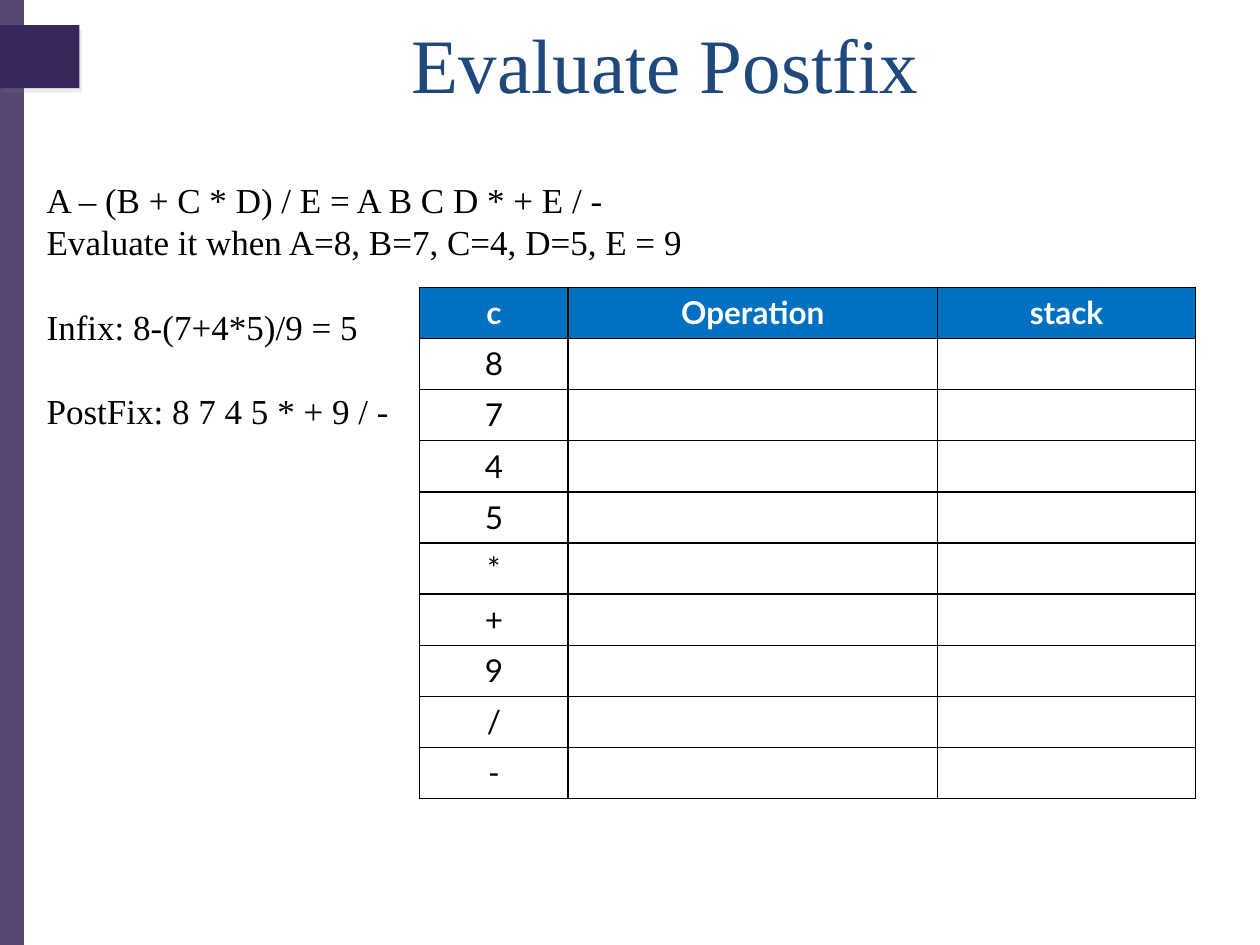
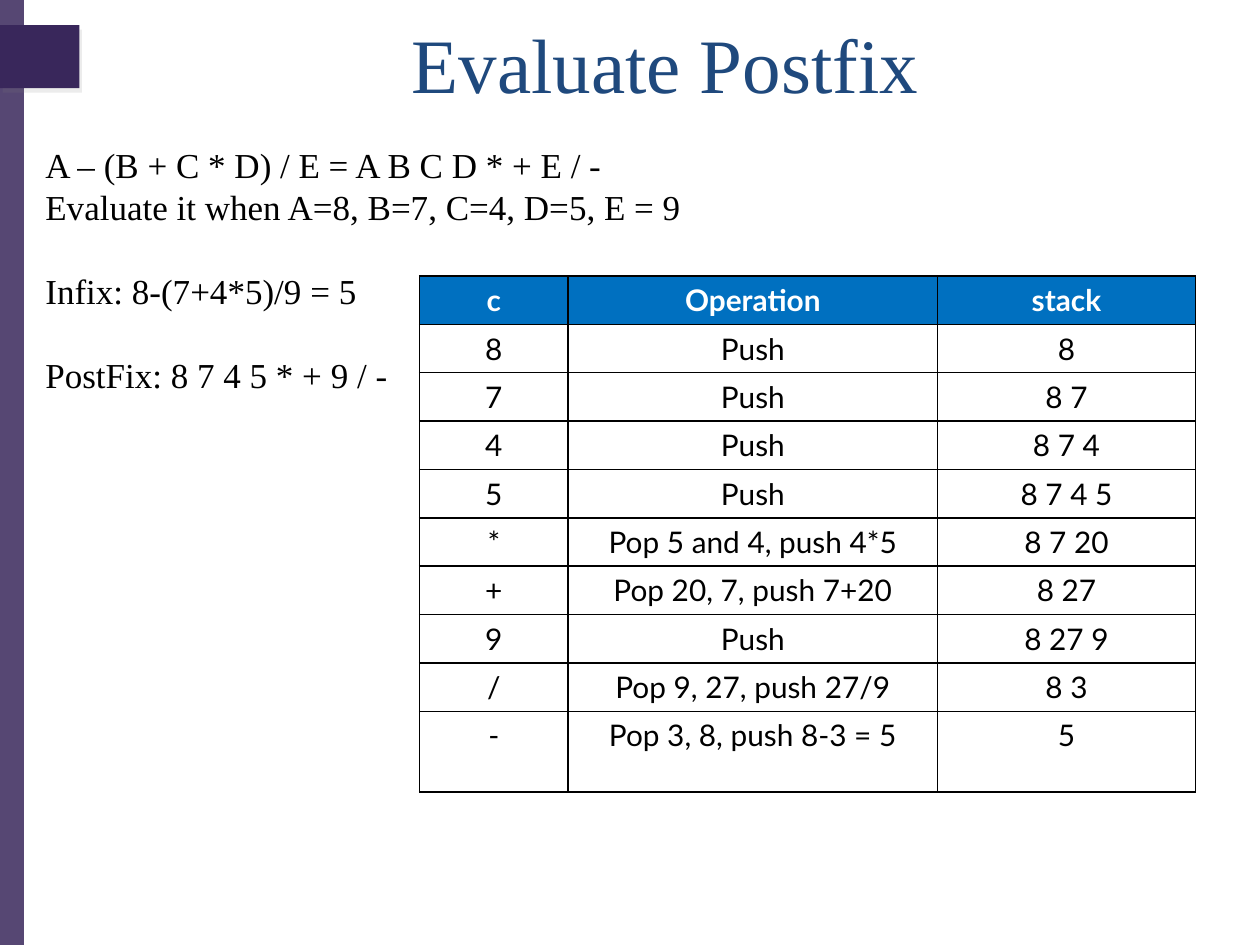
from dataclasses import dataclass

from lxml.etree import SubElement
from pptx import Presentation
from pptx.dml.color import RGBColor
from pptx.enum.shapes import MSO_SHAPE
from pptx.enum.text import MSO_ANCHOR, MSO_AUTO_SIZE, PP_ALIGN
from pptx.oxml import parse_xml
from pptx.oxml.ns import nsdecls, qn
from pptx.shapes.autoshape import Shape
from pptx.slide import Slide
from pptx.table import _Cell
from pptx.util import Inches, Pt

COLORS = {
    "band": "39275B",
    "shadow": "808080",
    "title": "1F497D",
    "text": "000000",
    "header": "0070C0",
    "header_text": "FFFFFF",
    "border": "000000",
}
SERIF, SANS = "Times New Roman", "Lato"
TITLE = "Evaluate Postfix"
LINE_HEIGHT = Pt(24)
TABLE_HEIGHT = 4.06
COLUMN_WIDTHS = (1.18, 2.93, 2.05)
HEADER = ("c", "Operation", "stack")

# Each problem line with the number of lines left free above it
PROBLEM = (
    ("A – (B + C * D) / E = A B C D * + E / -", 0),
    ("Evaluate it when A=8, B=7, C=4, D=5, E = 9", 0),
    ("Infix: 8-(7+4*5)/9 = 5", 1),
    ("PostFix: 8 7 4 5 * + 9 / -", 1),
)
SOLVED = (
    ("8", "Push", "8"),
    ("7", "Push", "8 7"),
    ("4", "Push", "8 7 4"),
    ("5", "Push", "8 7 4 5"),
    ("*", "Pop 5 and 4, push 4*5", "8 7 20"),
    ("+", "Pop 20, 7, push 7+20", "8 27"),
    ("9", "Push", "8 27 9"),
    ("/", "Pop 9, 27, push 27/9", "8 3"),
    ("-", "Pop 3, 8, push 8-3 = 5", "5"),
)
UNSOLVED = tuple((symbol, "", "") for symbol, _, _ in SOLVED)


@dataclass(frozen=True)
class Exercise:
    problem_left: float
    problem_top: float
    table_top: float
    row_height: float
    font_size: int
    steps: tuple[tuple[str, str, str], ...]


EXERCISES = (
    Exercise(0.27, 1.37, 2.28, TABLE_HEIGHT / 10, 18, UNSOLVED),
    Exercise(0.26, 1.09, 2.19, 0.38, 17, SOLVED),
)


def rgb(name: str) -> RGBColor:
    return RGBColor.from_string(COLORS[name])


def place(shape: Shape, left: float, top: float, width: float, height: float) -> None:
    shape.left, shape.top = Inches(left), Inches(top)
    shape.width, shape.height = Inches(width), Inches(height)


def format_runs(paragraph, font_name: str, size: int, color: str, bold: bool = False) -> None:
    for run in paragraph.runs:
        run.font.name = font_name
        run.font.size = Pt(size)
        run.font.bold = bold
        run.font.color.rgb = rgb(color)


def add_band(slide: Slide, top: float, width: float, height: float) -> Shape:
    band = slide.shapes.add_shape(
        MSO_SHAPE.RECTANGLE, 0, Inches(top), Inches(width), Inches(height)
    )
    band.shadow.inherit = False
    band.fill.solid()
    band.fill.fore_color.rgb = rgb("band")
    band.line.fill.background()
    return band


def add_side_bands(slide: Slide) -> None:
    """Draw the translucent side stripe and the shadowed tab over it."""
    stripe = add_band(slide, 0, 0.19, 7.5)
    stripe_color = stripe._element.spPr.find(f"{qn('a:solidFill')}/{qn('a:srgbClr')}")
    SubElement(stripe_color, qn("a:alpha"), val="85000")

    tab = add_band(slide, 0.2, 0.63, 0.5)
    tab._element.spPr.find(qn("a:effectLst")).append(parse_xml(
        f'<a:outerShdw {nsdecls("a")} blurRad="0" dist="{Pt(3)}" dir="{60 * 60000}"'
        f' rotWithShape="0"><a:srgbClr val="{COLORS["shadow"]}">'
        '<a:alpha val="15000"/></a:srgbClr></a:outerShdw>'
    ))


def write_title(slide: Slide) -> None:
    title = slide.shapes.title
    place(title, 0.28, 0.08, 10, 0.83)
    title.text_frame.text = TITLE
    title.text_frame.vertical_anchor = MSO_ANCHOR.MIDDLE
    title.text_frame.auto_size = MSO_AUTO_SIZE.NONE
    heading = title.text_frame.paragraphs[0]
    heading.alignment = PP_ALIGN.CENTER
    format_runs(heading, SERIF, 44, "title")


def write_problem(slide: Slide, left: float, top: float) -> None:
    problem = slide.placeholders[1]
    place(problem, left, top, 7.34, 2.46)
    frame = problem.text_frame
    frame.auto_size = MSO_AUTO_SIZE.NONE
    frame.text = "\n".join(line for line, _ in PROBLEM)
    for paragraph, (_, free_lines) in zip(frame.paragraphs, PROBLEM):
        paragraph.line_spacing = LINE_HEIGHT
        paragraph.space_before = LINE_HEIGHT * free_lines
        properties = paragraph._p.get_or_add_pPr()
        properties.set("marL", "0")
        properties.set("indent", "0")
        SubElement(properties, qn("a:buNone"))
        format_runs(paragraph, SERIF, 20, "text")


def add_borders(cell: _Cell) -> None:
    properties = cell._tc.get_or_add_tcPr()
    for position, side in enumerate(("lnL", "lnR", "lnT", "lnB")):
        properties.insert(position, parse_xml(
            f'<a:{side} {nsdecls("a")} w="{Pt(1)}"><a:solidFill>'
            f'<a:srgbClr val="{COLORS["border"]}"/></a:solidFill></a:{side}>'
        ))


def write_cell(cell: _Cell, text: str, size: int, is_header: bool) -> None:
    if is_header:
        cell.fill.solid()
        cell.fill.fore_color.rgb = rgb("header")
    else:
        cell.fill.background()
    add_borders(cell)
    if text:
        cell.text_frame.text = text
        paragraph = cell.text_frame.paragraphs[0]
        paragraph.alignment = PP_ALIGN.CENTER
        color = "header_text" if is_header else "text"
        format_runs(paragraph, SANS, size, color, is_header)


def add_stack_table(slide: Slide, exercise: Exercise) -> None:
    """Draw the evaluation steps; the last row takes the height that remains."""
    rows = (HEADER, *exercise.steps)
    table = slide.shapes.add_table(
        len(rows), len(HEADER), Inches(3.33), Inches(exercise.table_top),
        Inches(sum(COLUMN_WIDTHS)), Inches(TABLE_HEIGHT),
    ).table
    table.horz_banding = False
    for column, width in zip(table.columns, COLUMN_WIDTHS):
        column.width = Inches(width)
    for row in table.rows:
        row.height = Inches(exercise.row_height)
    table.rows[len(rows) - 1].height = Inches(
        TABLE_HEIGHT - exercise.row_height * (len(rows) - 1)
    )
    for row_index, texts in enumerate(rows):
        for column_index, text in enumerate(texts):
            write_cell(table.cell(row_index, column_index), text,
                       exercise.font_size, row_index == 0)


def main() -> None:
    presentation = Presentation()
    presentation.slide_width, presentation.slide_height = Inches(10), Inches(7.5)
    for exercise in EXERCISES:
        slide = presentation.slides.add_slide(presentation.slide_layouts[1])
        add_side_bands(slide)
        write_title(slide)
        write_problem(slide, exercise.problem_left, exercise.problem_top)
        add_stack_table(slide, exercise)
    presentation.save("out.pptx")


if __name__ == "__main__":
    main()
